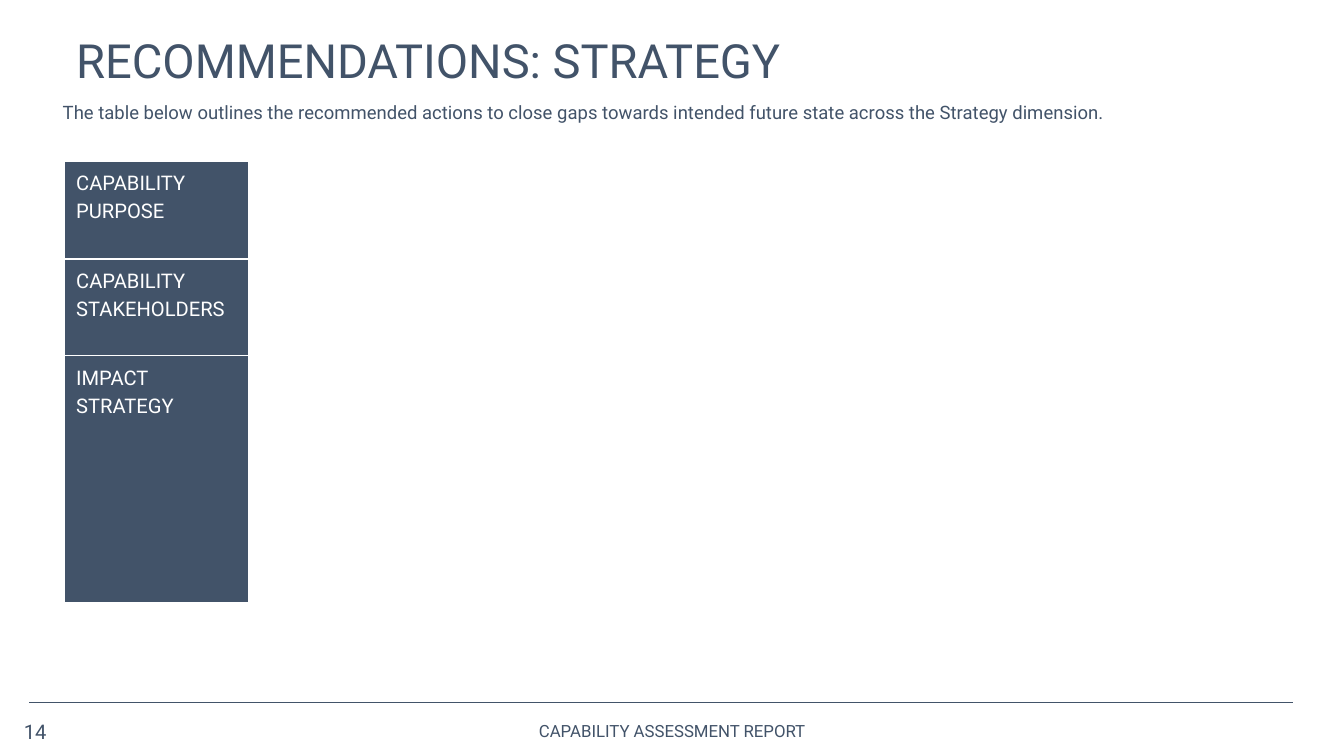
"""Build the strategy recommendations slide."""
from lxml.etree import SubElement
from pptx import Presentation
from pptx.dml.color import RGBColor
from pptx.enum.shapes import MSO_CONNECTOR
from pptx.enum.text import MSO_ANCHOR, MSO_AUTO_SIZE, PP_ALIGN
from pptx.oxml.ns import qn
from pptx.util import Inches, Pt

SLATE = RGBColor(0x42, 0x53, 0x69)
WHITE = RGBColor(0xFF, 0xFF, 0xFF)
FONT = "Roboto"
COLUMN_WIDTHS = (1.53, 8.52)
ROWS = (
    ("CAPABILITY PURPOSE", 0.81),
    ("CAPABILITY STAKEHOLDERS", 0.8),
    ("IMPACT STRATEGY", 2.04),
)


def write_text(frame, text, size=12, color=SLATE, align=PP_ALIGN.LEFT, spacing=None):
    """Write one formatted paragraph into a text frame."""
    para = frame.paragraphs[0]
    para.alignment = align
    para.line_spacing = spacing
    span = para.add_run()
    span.text = text
    span.font.name = FONT
    span.font.size = Pt(size)
    span.font.color.rgb = color


def add_title(page, text):
    """Place and format the title placeholder."""
    title = page.shapes.title
    title.left, title.top = Inches(0.53), Inches(0.1)
    title.width, title.height = Inches(10.05), Inches(0.79)
    frame = title.text_frame
    frame.auto_size = MSO_AUTO_SIZE.NONE
    frame.vertical_anchor = MSO_ANCHOR.MIDDLE
    write_text(frame, text, size=28)


def add_text(page, text, left, top, width, height, anchor=MSO_ANCHOR.TOP, **text_format):
    """Add a wrapping text box."""
    box = page.shapes.add_textbox(Inches(left), Inches(top), Inches(width), Inches(height))
    box.text_frame.word_wrap = True
    box.text_frame.vertical_anchor = anchor
    write_text(box.text_frame, text, **text_format)


def add_rule(page, left, right, top):
    """Add the thin horizontal line above the footer."""
    rule = page.shapes.add_connector(
        MSO_CONNECTOR.STRAIGHT, Inches(left), Inches(top), Inches(right), Inches(top))
    rule.line.color.rgb = SLATE
    rule.line.width = Pt(0.75)
    SubElement(rule._element.spPr, qn("a:effectLst"))


def format_cell(cell, fill):
    """Give a cell white borders and a solid fill."""
    properties = cell._tc.get_or_add_tcPr()
    for side in ("a:lnL", "a:lnR", "a:lnT", "a:lnB"):
        line = SubElement(properties, qn(side), w=str(Pt(1)))
        solid = SubElement(line, qn("a:solidFill"))
        SubElement(solid, qn("a:srgbClr"), val=str(WHITE))
    cell.fill.solid()
    cell.fill.fore_color.rgb = fill


def add_actions_table(page):
    """Add the table of recommended actions with its row headings."""
    height = sum(row_height for _, row_height in ROWS)
    table = page.shapes.add_table(
        len(ROWS), len(COLUMN_WIDTHS), Inches(0.53), Inches(1.33),
        Inches(sum(COLUMN_WIDTHS)), Inches(height)).table
    table.first_row = False
    table.first_col = True
    table.horz_banding = False
    for column, width in zip(table.columns, COLUMN_WIDTHS):
        column.width = Inches(width)
    for row, (heading, row_height) in zip(table.rows, ROWS):
        row.height = Inches(row_height)
        heading_cell, action_cell = row.cells
        format_cell(heading_cell, SLATE)
        format_cell(action_cell, WHITE)
        write_text(heading_cell.text_frame, heading, color=WHITE, spacing=1.2)


def main():
    """Build and save the deck."""
    deck = Presentation()
    deck.slide_width, deck.slide_height = Inches(11.11), Inches(6.25)
    page = deck.slides.add_slide(deck.slide_layouts[5])
    add_rule(page, 0.24, 10.69, 5.81)
    add_title(page, "RECOMMENDATIONS: STRATEGY")
    add_text(page, "14", 0.05, 5.88, 0.48, 0.33,
             anchor=MSO_ANCHOR.MIDDLE, align=PP_ALIGN.CENTER)
    add_text(page, "CAPABILITY ASSESSMENT REPORT", 2.75, 5.88, 5.61, 0.33,
             anchor=MSO_ANCHOR.MIDDLE, size=10, align=PP_ALIGN.CENTER)
    add_text(page, "The table below outlines the recommended actions to close gaps "
             "towards intended future state across the Strategy dimension.",
             0.42, 0.79, 10.05, 0.37, size=11)
    add_actions_table(page)
    deck.save("out.pptx")


if __name__ == "__main__":
    main()
